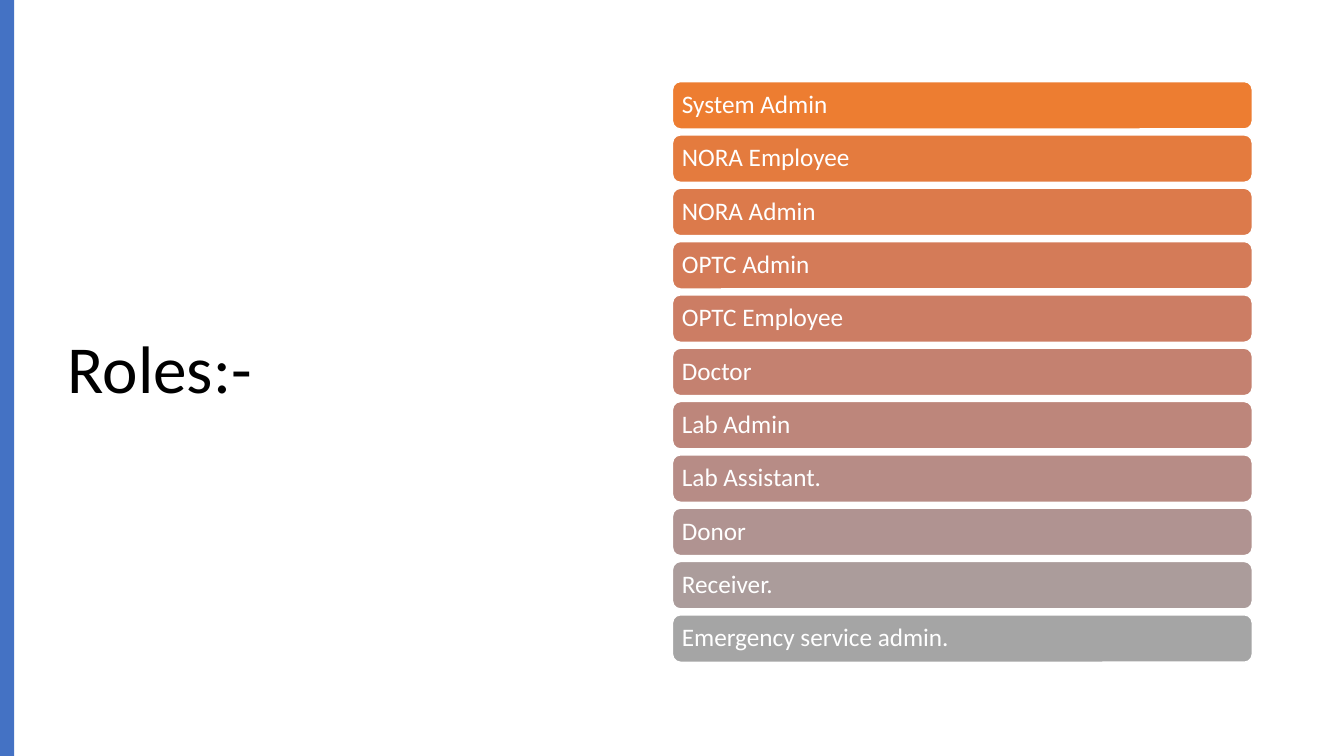
from dataclasses import dataclass

from pptx import Presentation
from pptx.dml.color import RGBColor
from pptx.enum.shapes import MSO_SHAPE
from pptx.enum.text import MSO_ANCHOR, PP_ALIGN
from pptx.util import Inches, Pt


@dataclass(frozen=True)
class Theme:
    """Colours, font and type sizes of the slide."""
    font: str = "Calibri"
    title_size: int = 48
    role_size: int = 18
    title_color: str = "000000"
    light: str = "FFFFFF"
    accent: str = "4472C4"


THEME = Theme()
ROLES = [
    ("System Admin", "ED7D31"),
    ("NORA Employee", "E47B3E"),
    ("NORA Admin", "DC7A4B"),
    ("OPTC Admin", "D47B58"),
    ("OPTC Employee", "CC7D64"),
    ("Doctor", "C48170"),
    ("Lab Admin", "BD867B"),
    ("Lab Assistant.", "B78C86"),
    ("Donor", "B09391"),
    ("Receiver.", "AB9C9B"),
    ("Emergency service admin.", "A5A5A5"),
]
BAR_TOP = 0.81
BAR_PITCH = 0.529


def write_text(shape, text, size, color):
    """Write one left-aligned, vertically centred paragraph."""
    frame = shape.text_frame
    frame.word_wrap = True
    frame.vertical_anchor = MSO_ANCHOR.MIDDLE
    frame.text = text
    paragraph = frame.paragraphs[0]
    paragraph.alignment = PP_ALIGN.LEFT
    paragraph.line_spacing = 0.9
    paragraph.font.name = THEME.font
    paragraph.font.size = Pt(size)
    paragraph.font.color.rgb = RGBColor.from_string(color)


def add_title(slide, text):
    """Place and format the title placeholder."""
    title = slide.shapes.title
    title.left, title.top = Inches(0.57), Inches(0.68)
    title.width, title.height = Inches(5.67), Inches(6.02)
    write_text(title, text, THEME.title_size, THEME.title_color)


def add_filled_shape(shapes, kind, left, top, width, height, color):
    """Add a flat preset shape without an outline."""
    shape = shapes.add_shape(kind, Inches(left), Inches(top), Inches(width), Inches(height))
    shape.shadow.inherit = False
    shape.fill.solid()
    shape.fill.fore_color.rgb = RGBColor.from_string(color)
    shape.line.fill.background()
    return shape


def add_role_bar(shapes, top, role, color):
    """Add a rounded bar labelled with a role."""
    bar = add_filled_shape(shapes, MSO_SHAPE.ROUNDED_RECTANGLE, 6.67, top, 5.75, 0.47, color)
    bar.line.color.rgb = RGBColor.from_string(THEME.light)
    bar.line.width = Pt(1)
    frame = bar.text_frame
    frame.margin_left = frame.margin_right = Inches(0.07)
    frame.margin_top = frame.margin_bottom = Inches(0.07)
    write_text(bar, role, THEME.role_size, THEME.light)


def main():
    """Build the roles slide and save it."""
    presentation = Presentation()
    presentation.slide_width = Inches(13.33)
    presentation.slide_height = Inches(7.5)
    slide = presentation.slides.add_slide(presentation.slide_layouts[5])
    add_title(slide, "Roles:-")
    add_filled_shape(slide.shapes, MSO_SHAPE.RECTANGLE, 0, 0, 0.14, 7.5, THEME.accent)
    role_group = slide.shapes.add_group_shape()
    for index, (role, color) in enumerate(ROLES):
        add_role_bar(role_group.shapes, BAR_TOP + index * BAR_PITCH, role, color)
    presentation.save("out.pptx")


if __name__ == "__main__":
    main()
